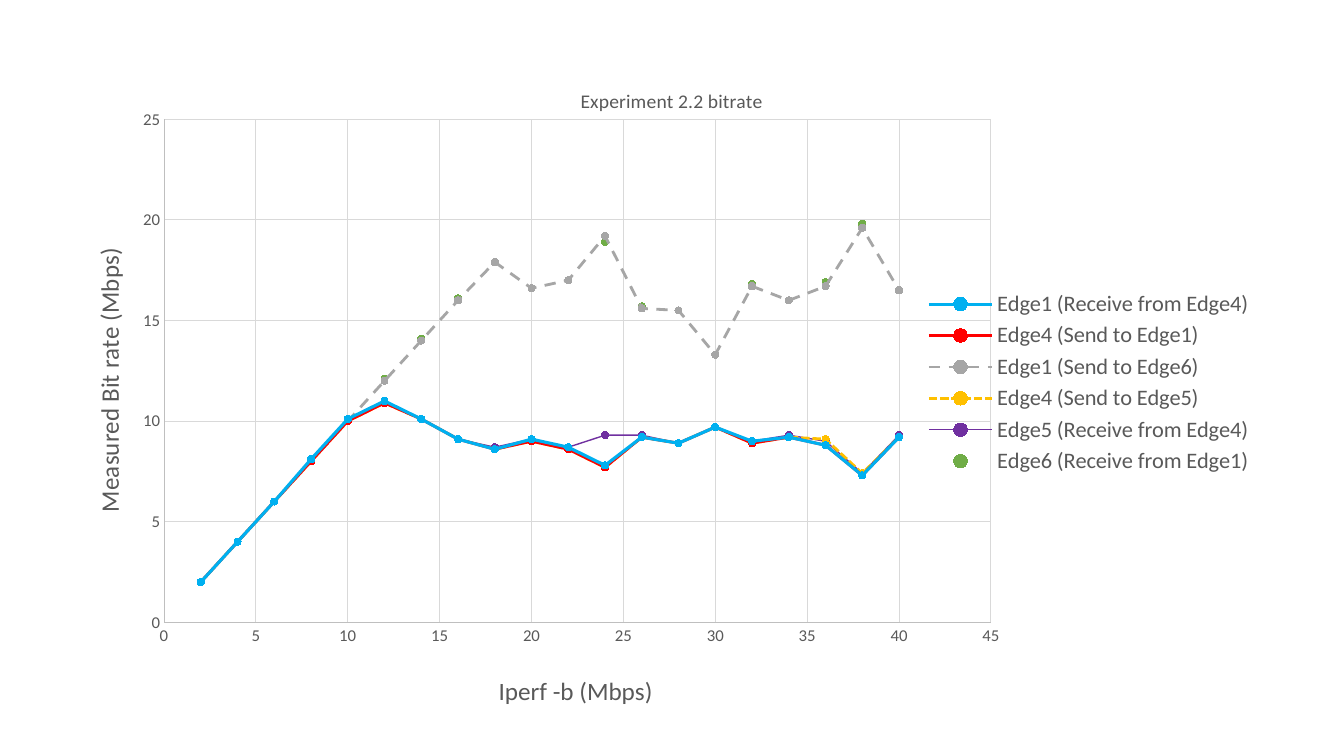
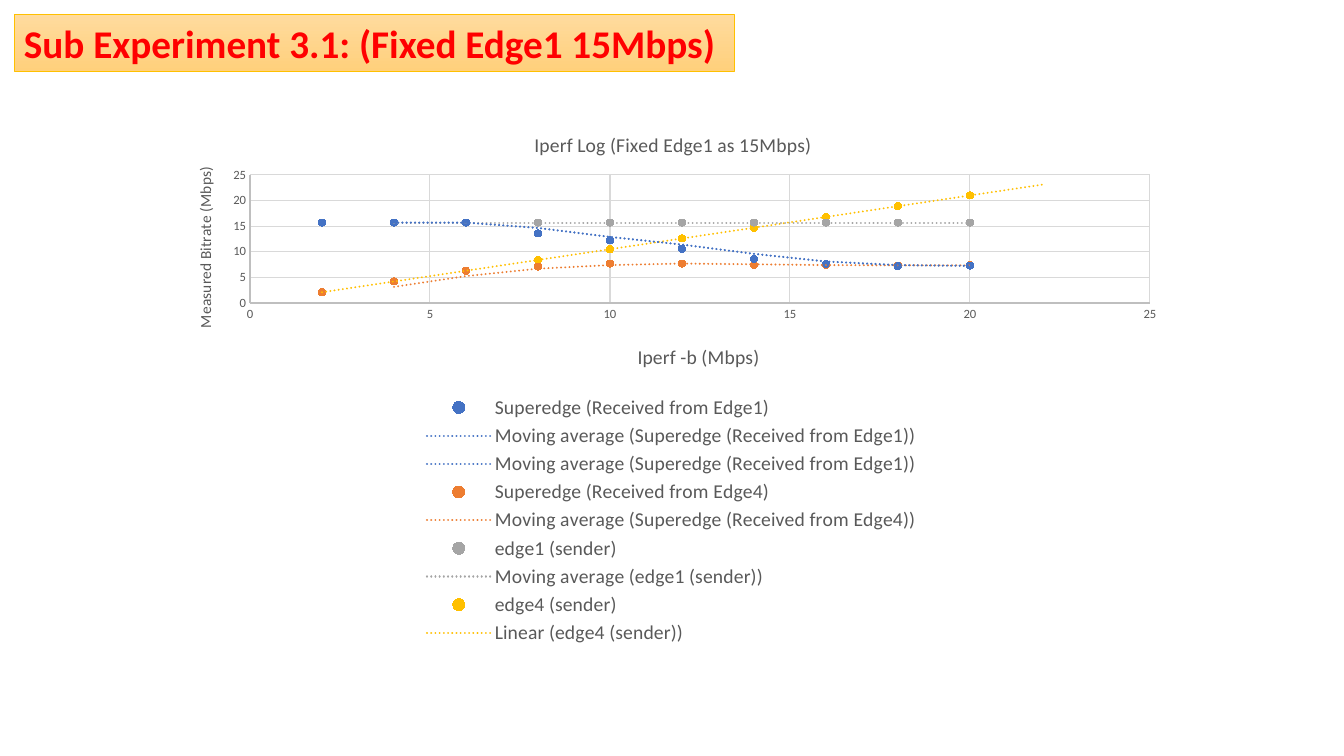
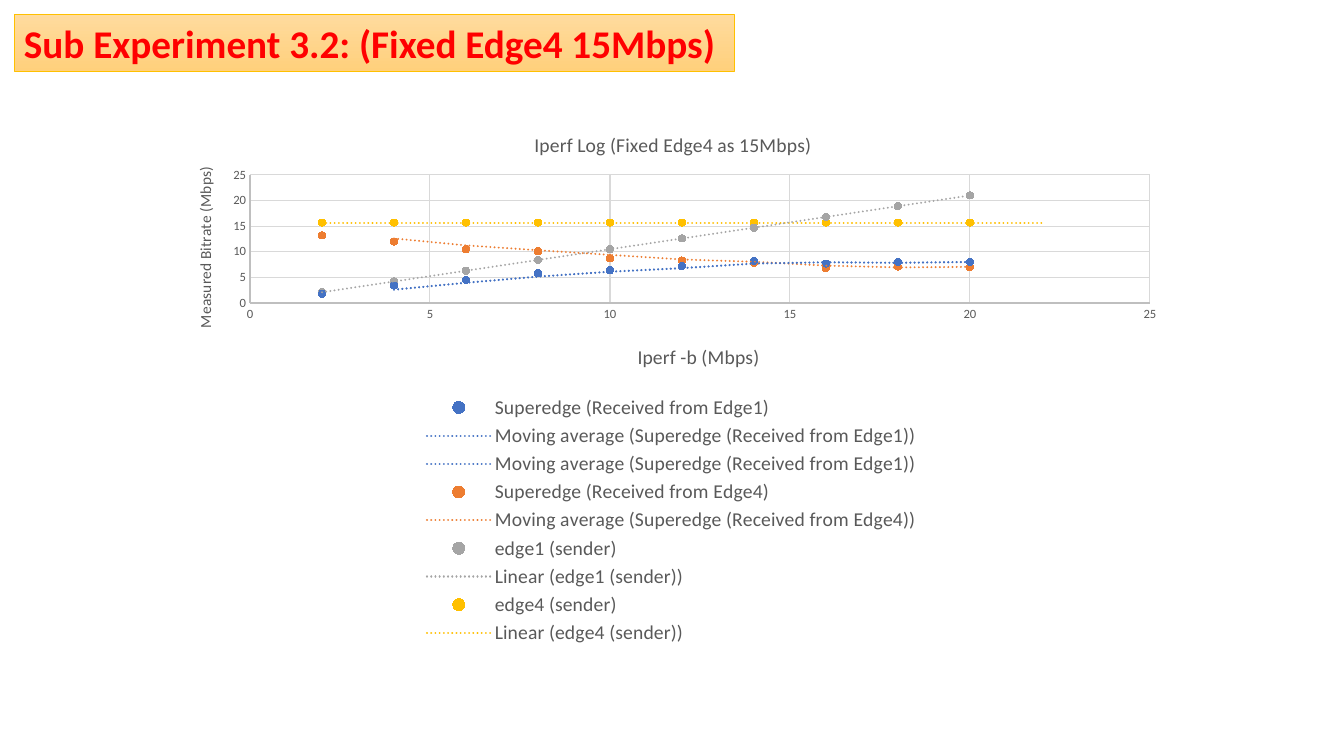
from lxml.etree import SubElement
from pptx import Presentation
from pptx.chart.data import XyChartData
from pptx.dml.color import RGBColor
from pptx.enum.chart import XL_CHART_TYPE as Kind
from pptx.enum.chart import XL_LEGEND_POSITION as Side
from pptx.enum.chart import XL_MARKER_STYLE as Mark
from pptx.enum.chart import XL_TICK_MARK as Tick
from pptx.enum.dml import MSO_LINE as Dash
from pptx.enum.shapes import MSO_SHAPE as Shape
from pptx.enum.text import MSO_ANCHOR as Anchor
from pptx.enum.text import MSO_AUTO_SIZE as Fit
from pptx.enum.text import PP_ALIGN as Align
from pptx.oxml import parse_xml
from pptx.oxml.ns import nsdecls, qn
from pptx.util import Emu, Pt

SCALE = 12192000 / 1344
FONT = "Calibri"
GRAY = "595959"
AXIS = "BFBFBF"
GRID = "D9D9D9"
BAND = (14, 14, 720, 57)
WIDE = (76, 59, 1188, 655)
LOG = (166, 107, 1011, 542)
BLUE, RUST, ASH, GOLD = "4472C4", "ED7D31", "A5A5A5", "FFC000"
RISE = [2.1, 4.2, 6.3, 8.4, 10.5, 12.6, 14.7, 16.8, 18.9, 21]
FLAT = [15.7] * 10

RATES = [
    ("Edge1 (Receive from Edge4)", "00B0F0", 2.25, None,
     [2, 4, 6, 8.1, 10.1, 11, 10.1, 9.1, 8.6, 9.1,
      8.7, 7.8, 9.2, 8.9, 9.7, 9, 9.2, 8.8, 7.3, 9.2]),
    ("Edge4 (Send to Edge1)", "FF0000", 2, None,
     [2, 4, 6, 8, 10, 10.9, 10.1, 9.1, 8.6, 9,
      8.6, 7.7, 9.2, 8.9, 9.7, 8.9, 9.2, 8.8, 7.3, 9.2]),
    ("Edge1 (Send to Edge6)", "A6A6A6", 2, Dash.DASH,
     [2, 4, 6, 8, 10, 12, 14, 16, 17.9, 16.6,
      17, 19.2, 15.6, 15.5, 13.3, 16.7, 16, 16.7, 19.6, 16.5]),
    ("Edge4 (Send to Edge5)", GOLD, 2, Dash.SQUARE_DOT,
     [2, 4, 6, 8, 10, 10.9, 10.1, 9.1, 8.6, 9,
      8.6, 7.7, 9.2, 8.9, 9.7, 8.9, 9.2, 9.1, 7.4, 9.2]),
    ("Edge5 (Receive from Edge4)", "7030A0", 1, None,
     [2, 4, 6, 8.1, 10.1, 11, 10.1, 9.1, 8.7, 9.1,
      8.7, 9.3, 9.3, 8.9, 9.7, 9, 9.3, 9, 7.4, 9.3]),
    ("Edge6 (Receive from Edge1)", "70AD47", 0, None,
     [2, 4, 6, 8.1, 10.1, 12.1, 14.1, 16.1, 17.9, 16.6,
      17, 18.9, 15.7, 15.5, 13.3, 16.8, 16, 16.9, 19.8, 16.5]),
]

AVG, LINE, AHEAD = ("movingAvg", "period"), ("linear", None), ("linear", "forward")
NAMES = [
    ("Superedge (Received from Edge1)", BLUE),
    ("Superedge (Received from Edge4)", RUST),
    ("edge1 (sender)", ASH),
    ("edge4 (sender)", GOLD),
]
TESTS = [
    ("Sub Experiment 3.1: (Fixed Edge1 15Mbps)",
     "Iperf Log (Fixed Edge1 as 15Mbps)",
     [[15.7, 15.7, 15.7, 13.6, 12.2, 10.6, 8.6, 7.6, 7.2, 7.3],
      [2.1, 4.2, 6.3, 7.1, 7.7, 7.7, 7.4, 7.4, 7.3, 7.4], FLAT, RISE],
     [[AVG, AVG], [AVG], [AVG], [AHEAD]]),
    ("Sub Experiment 3.2: (Fixed Edge4 15Mbps)",
     "Iperf Log (Fixed Edge4 as 15Mbps)",
     [[1.8, 3.4, 4.5, 5.8, 6.4, 7.2, 8.2, 7.7, 8, 8],
      [13.2, 12, 10.5, 10.1, 8.7, 8.3, 7.8, 6.8, 7.1, 7], RISE, FLAT],
     [[AVG, AVG], [AVG], [LINE], [AHEAD]]),
]


def px(num):
    """Turn pixels into EMU."""
    return Emu(round(num * SCALE))


def rgb(code):
    """Turn a hex string into a colour."""
    return RGBColor.from_string(code)


def style(font, size, color=GRAY, bold=False):
    """Set face, size, colour and weight of a font."""
    font.name, font.size, font.bold = FONT, Pt(size), bold
    font.color.rgb = rgb(color)


def stroke(line, color, width):
    """Give a line its colour and width."""
    line.color.rgb = rgb(color)
    line.width = Pt(width)


def layout(spot, box, inner=False):
    """Make a manual layout for a spot in px inside a chart box."""
    node = parse_xml(f"<c:layout {nsdecls('c')}><c:manualLayout/></c:layout>")
    parts = [("layoutTarget", "inner")] if inner else []
    parts += [("xMode", "edge"), ("yMode", "edge")]
    sizes = [box[2], box[3]] * 2
    parts += [(key, f"{val / size:.4f}") for key, val, size in zip("xywh", spot, sizes)]
    for key, val in parts:
        SubElement(node[0], qn(f"c:{key}")).set("val", val)
    return node


def head(owner, text, size, spot, box, turn=False):
    """Write the title of a chart or an axis at a spot."""
    owner.has_title = True
    title = owner.chart_title if hasattr(owner, "chart_title") else owner.axis_title
    frame = title.text_frame
    frame.text = text
    style(frame.paragraphs[0].font, size)
    if turn:
        body = frame._txBody.bodyPr
        body.set("rot", "-5400000")
        body.set("vert", "horz")
    root = title._element
    for old in root.findall(qn("c:layout")):
        root.remove(old)
    root.find(qn("c:tx")).addnext(layout(spot, box))


def scale(axis, top, size):
    """Set range, grid, line and labels of an axis."""
    axis.minimum_scale, axis.maximum_scale, axis.major_unit = 0, top, 5
    axis.major_tick_mark = axis.minor_tick_mark = Tick.NONE
    axis.has_major_gridlines = True
    stroke(axis.major_gridlines.format.line, GRID, 0.75)
    stroke(axis.format.line, AXIS, 0.75)
    style(axis.tick_labels.font, size)


def dot(row, color):
    """Give a series round markers of one colour."""
    row.smooth = False
    mark = row.marker
    mark.style, mark.size = Mark.CIRCLE, 5
    mark.format.fill.solid()
    mark.format.fill.fore_color.rgb = rgb(color)
    stroke(mark.format.line, color, 0.75)


def trend(row, color, kind, extra):
    """Add a dotted trend line to a series."""
    more = f'<c:{extra} val="2"/>' if extra else ""
    row._element.find(qn("c:xVal")).addprevious(parse_xml(
        f"<c:trendline {nsdecls('c', 'a')}><c:spPr>"
        f'<a:ln w="19050" cap="rnd"><a:solidFill><a:srgbClr val="{color}"/></a:solidFill>'
        '<a:prstDash val="sysDot"/></a:ln></c:spPr>'
        f'<c:trendlineType val="{kind}"/>{more}'
        '<c:dispRSqr val="0"/><c:dispEq val="0"/></c:trendline>'))


def plot(slide, box, kind, rows, area, top, sizes, side):
    """Add a scatter chart with its axes, legend and plot area."""
    data = XyChartData()
    for name, vals in rows:
        row = data.add_series(name)
        for step, val in enumerate(vals, 1):
            row.add_data_point(2 * step, val)
    chart = slide.shapes.add_chart(kind, *map(px, box), data).chart
    style(chart.font, 10, "000000")
    chart.plots[0].vary_by_categories = False
    for axis, end in ((chart.category_axis, top), (chart.value_axis, 25)):
        scale(axis, end, sizes[0])
    chart.has_legend = True
    chart.legend.position = side
    chart.legend.include_in_layout = False
    style(chart.legend.font, sizes[1])
    root = chart._chartSpace.chart.plotArea
    for old in root.findall(qn("c:layout")):
        root.remove(old)
    root.insert(0, layout(area, box, True))
    return chart


def rates(slide, box):
    """Draw the bit rate chart with joined points."""
    rows = [(name, vals) for name, *_, vals in RATES]
    chart = plot(slide, box, Kind.XY_SCATTER_LINES, rows,
                 (88, 61, 827, 509), 45, (12, 16), Side.RIGHT)
    head(chart, "Experiment 2.2 bitrate", 14, (501, 25), box)
    head(chart.category_axis, "Iperf -b (Mbps)", 18, (418, 617), box)
    head(chart.value_axis, "Measured Bit rate (Mbps)", 18, (11, 190), box, True)
    for row, (_, color, width, dash, _) in zip(chart.plots[0].series, RATES):
        dot(row, color)
        line = row.format.line
        if width:
            stroke(line, color, width)
            line.dash_style = dash
        else:
            line.fill.background()


def log(slide, box, title, vals, trends):
    """Draw a log chart of loose points with trend lines."""
    rows = [(name, list_) for (name, _), list_ in zip(NAMES, vals)]
    chart = plot(slide, box, Kind.XY_SCATTER, rows,
                 (84, 68, 900, 128), 25, (9, 14), Side.BOTTOM)
    head(chart, title, 14, (365, 21), box)
    head(chart.category_axis, "Iperf -b (Mbps)", 14, (468, 233), box)
    head(chart.value_axis, "Measured Bitrate (Mbps)", 11, (26, 57), box, True)
    for row, (_, color), kinds in zip(chart.plots[0].series, NAMES, trends):
        dot(row, color)
        row.format.line.fill.background()
        for kind, extra in kinds:
            trend(row, color, kind, extra)
    pos = chart.legend._element.find(qn("c:legendPos"))
    for num in range(8, 3, -1):
        pos.addnext(parse_xml(
            f'<c:legendEntry {nsdecls("c")}><c:idx val="{num}"/>'
            '<c:delete val="1"/></c:legendEntry>'))


def band(slide, box, text):
    """Draw the heading band with a soft gradient."""
    shape = slide.shapes.add_shape(Shape.RECTANGLE, *map(px, box))
    shape.shadow.inherit = False
    shape.fill.gradient()
    shape.fill.gradient_angle = 270
    for stop, color in zip(shape.fill.gradient_stops, ("FFDB9E", "FFD07C")):
        stop.color.rgb = rgb(color)
    stroke(shape.line, GOLD, 0.5)
    frame = shape.text_frame
    frame.word_wrap = False
    frame.auto_size = Fit.SHAPE_TO_FIT_TEXT
    frame.vertical_anchor = Anchor.MIDDLE
    frame.text = text
    para = frame.paragraphs[0]
    para.alignment = Align.LEFT
    style(para.font, 28, "FF0000", True)


def main():
    """Build and save the slides."""
    deck = Presentation()
    deck.slide_width, deck.slide_height = px(1344), px(756)
    blank = deck.slide_layouts[6]
    rates(deck.slides.add_slide(blank), WIDE)
    for text, title, vals, trends in TESTS:
        slide = deck.slides.add_slide(blank)
        log(slide, LOG, title, vals, trends)
        band(slide, BAND, text)
    deck.save("out.pptx")


if __name__ == "__main__":
    main()
